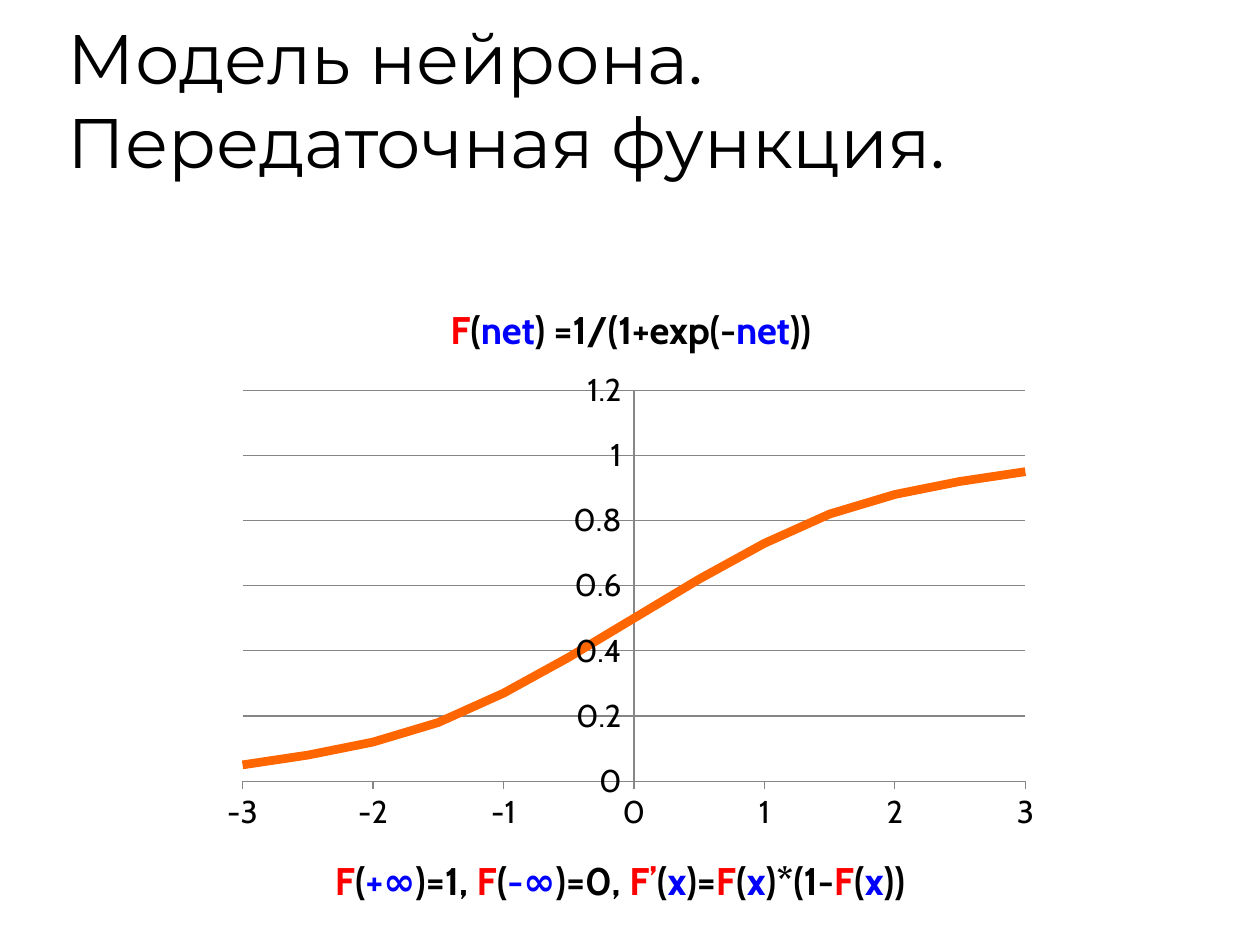
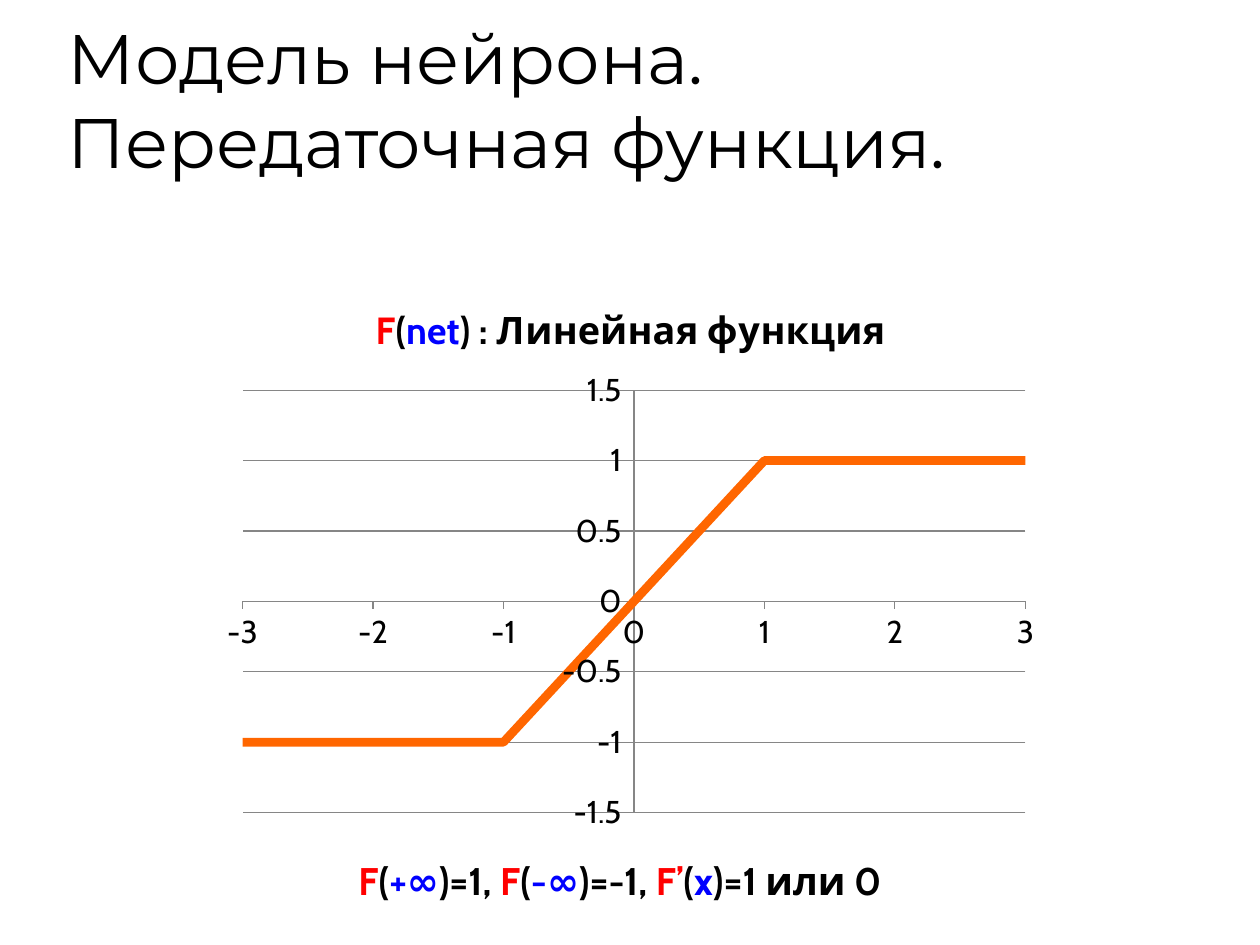
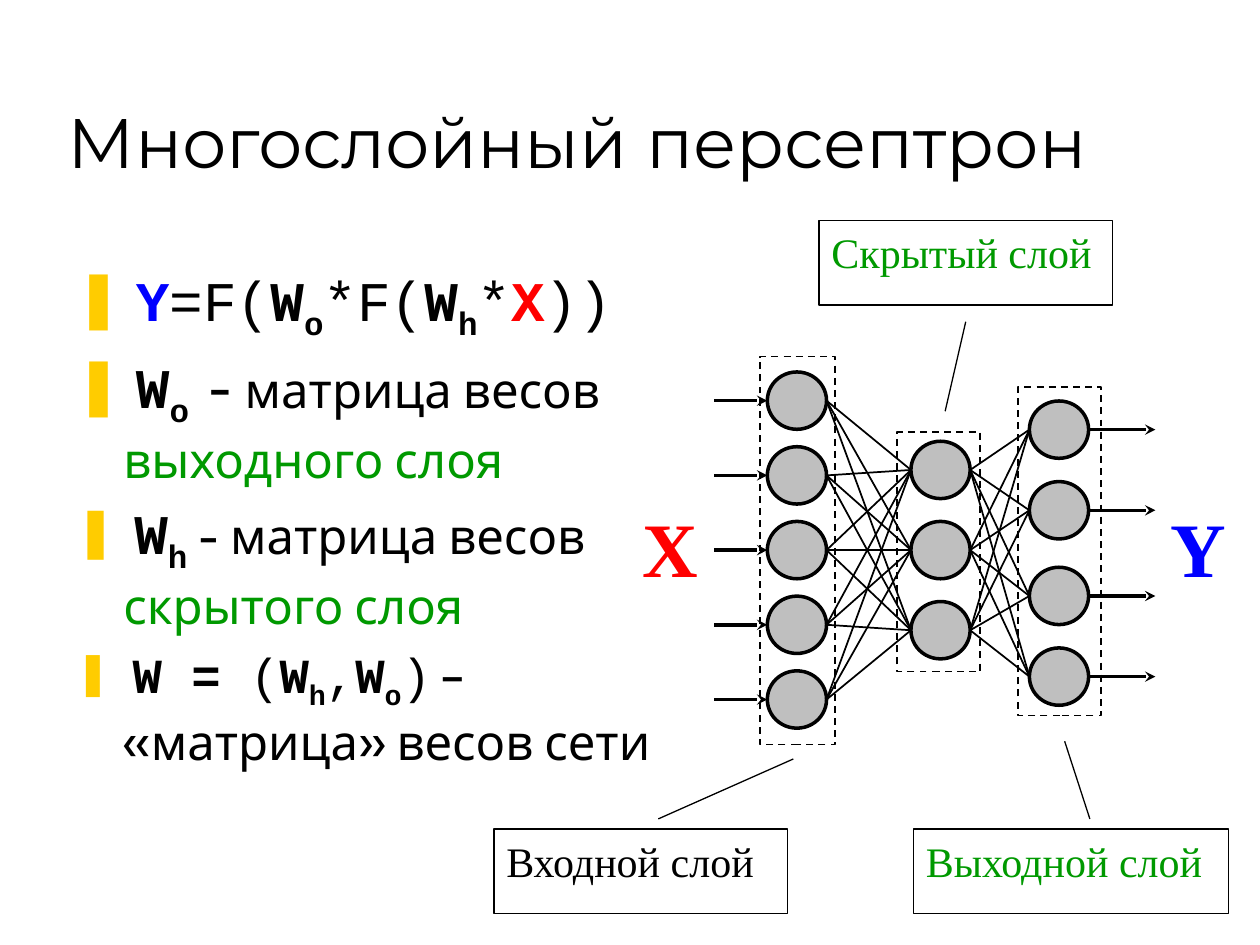
from itertools import product
from math import exp

from lxml import etree
from pptx import Presentation
from pptx.chart.data import XyChartData
from pptx.dml.color import RGBColor
from pptx.enum.chart import XL_CHART_TYPE, XL_TICK_MARK
from pptx.enum.dml import MSO_LINE
from pptx.enum.shapes import MSO_CONNECTOR, MSO_SHAPE
from pptx.enum.text import MSO_ANCHOR, PP_ALIGN
from pptx.oxml.ns import qn
from pptx.util import Inches, Pt

SMOOTH = XL_CHART_TYPE.XY_SCATTER_SMOOTH_NO_MARKERS
STRAIGHT = XL_CHART_TYPE.XY_SCATTER_LINES_NO_MARKERS
TICK_OUTSIDE = XL_TICK_MARK.OUTSIDE
DASH = MSO_LINE.DASH
STRAIGHT_LINE = MSO_CONNECTOR.STRAIGHT
CALLOUT = MSO_SHAPE.LINE_CALLOUT_1
CIRCLE = MSO_SHAPE.OVAL
FRAME = MSO_SHAPE.RECTANGLE
TOP, BOTTOM = MSO_ANCHOR.TOP, MSO_ANCHOR.BOTTOM
LEFT, CENTER = PP_ALIGN.LEFT, PP_ALIGN.CENTER

COLOURS = {
    "ink": "000000", "paper": "FFFFFF", "function": "FF0000",
    "argument": "0000FF", "layer": "009900", "bullet": "FFCC00",
    "neuron": "BFBFBF", "curve": "FF6600", "grid": "868686",
}
HEADING, BODY, CODE, SERIF = "Montserrat", "Cabin", "Courier New", "Times New Roman"
COLUMNS, ROWS = 100, 75  # grid laid over the slide


def colour(name):
    return RGBColor.from_string(COLOURS[name])


def set_font(font, size=None, name=None, fill=None, bold=None):
    if size:
        font.size = Pt(size)
    if name:
        font.name = name
    if fill:
        font.color.rgb = colour(fill)
    if bold is not None:
        font.bold = bold


class Deck:
    def __init__(self):
        self.prs = Presentation()
        self.prs.slide_width, self.prs.slide_height = Inches(10), Inches(7.5)
        self.slide = None

    def x(self, column):
        return round(self.prs.slide_width * column / COLUMNS)

    def y(self, row):
        return round(self.prs.slide_height * row / ROWS)

    def box(self, left, top, width, height):
        return self.x(left), self.y(top), self.x(width), self.y(height)

    def new_slide(self, heading, width=85):
        self.slide = self.prs.slides.add_slide(self.prs.slide_layouts[6])
        self.text((4.4, 2.5, width, 12.5), [heading], anchor=BOTTOM,
                  size=40, name=HEADING)

    # Text: each run is a string or a (string, style) pair
    def set_runs(self, paragraph, runs, align=LEFT, size=None, name=None,
                 fill="ink", bold=None):
        paragraph.alignment = align
        set_font(paragraph.font, size, name, fill, bold)
        for item in runs:
            words, style = (item, {}) if isinstance(item, str) else item
            style = dict(style)
            run = paragraph.add_run()
            run.text = words
            if style.pop("subscript", False):
                run._r.get_or_add_rPr().set("baseline", "-25000")
            if style:
                set_font(run.font, **style)

    def text(self, place, runs, anchor=TOP, **style):
        frame = self.slide.shapes.add_textbox(*self.box(*place)).text_frame
        frame.word_wrap = True
        frame.vertical_anchor = anchor
        self.set_runs(frame.paragraphs[0], runs, **style)

    def bullets(self, place, items):
        frame = self.slide.shapes.add_textbox(*self.box(*place)).text_frame
        frame.word_wrap = True
        for index, (size, runs) in enumerate(items):
            paragraph = frame.add_paragraph() if index else frame.paragraphs[0]
            paragraph.space_before = Pt(6)
            props = paragraph._p.get_or_add_pPr()
            props.set("marL", str(Inches(0.38)))
            props.set("indent", str(-Inches(0.38)))
            tint = etree.SubElement(props, qn("a:buClr"))
            etree.SubElement(tint, qn("a:srgbClr"), val=COLOURS["bullet"])
            etree.SubElement(props, qn("a:buChar"), char="❚")
            self.set_runs(paragraph, runs, size=size, name=BODY)

    # Shapes and lines
    def shape(self, kind, place, fill=None, width=1, dash=None):
        shape = self.slide.shapes.add_shape(kind, *self.box(*place))
        shape.shadow.inherit = False
        if fill:
            shape.fill.solid()
            shape.fill.fore_color.rgb = colour(fill)
        else:
            shape.fill.background()
        shape.line.color.rgb = colour("ink")
        shape.line.width = Pt(width)
        if dash:
            shape.line.dash_style = dash
        return shape

    def callout(self, place, pointer, label, fill):
        shape = self.shape(CALLOUT, place, "paper", 0.75)
        for index, share in enumerate(pointer):
            shape.adjustments[index] = share
        shape.text_frame.word_wrap = True
        shape.text_frame.vertical_anchor = TOP
        self.set_runs(shape.text_frame.paragraphs[0], [label],
                      size=24, name=SERIF, fill=fill)

    def line(self, start, end, width=1, arrow=False):
        line = self.slide.shapes.add_connector(
            STRAIGHT_LINE, self.x(start[0]), self.y(start[1]),
            self.x(end[0]), self.y(end[1]))
        line.line.color.rgb = colour("ink")
        line.line.width = Pt(width)
        if arrow:
            etree.SubElement(line.line._get_or_add_ln(), qn("a:tailEnd"),
                             type="stealth")
        etree.SubElement(line._element.spPr, qn("a:effectLst"))

    # Charts
    def curve(self, kind, points, title, title_size, value_range):
        data = XyChartData()
        series = data.add_series("Series 1")
        for x, y in points:
            series.add_data_point(x, y)
        chart = self.slide.shapes.add_chart(
            kind, *self.box(16.7, 22.5, 66.7, 44.4), data).chart
        set_font(chart.font, 18, BODY, "ink")
        chart.has_legend = False
        chart.has_title = True
        self.set_runs(chart.chart_title.text_frame.paragraphs[0], title,
                      align=CENTER, size=title_size, name=BODY, bold=True)
        chart.chart_title.include_in_layout = False

        plot = chart.plots[0]
        plot.vary_by_categories = False
        stroke = plot.series[0].format.line
        stroke.color.rgb = colour("curve")
        stroke.width = Pt(5)

        ranges = ((chart.category_axis, (-3, 3, 1)),
                  (chart.value_axis, value_range))
        for axis, (low, high, step) in ranges:
            axis.minimum_scale, axis.maximum_scale = low, high
            axis.major_unit = step
            axis.major_tick_mark = TICK_OUTSIDE
            axis.format.line.color.rgb = colour("grid")
            axis.format.line.width = Pt(0.75)
        chart.category_axis.has_major_gridlines = False
        chart.value_axis.has_major_gridlines = True
        grid = chart.value_axis.major_gridlines.format.line
        grid.color.rgb = colour("grid")
        grid.width = Pt(0.75)


def applied(argument, rest="", name="F"):
    """Runs for name(argument) followed by plain text."""
    return [(name, {"fill": "function"}), "(",
            (argument, {"fill": "argument"}), ")" + rest]


def code(words, **style):
    return words, {"name": CODE, **style}


def weights(layer, size=None):
    """Runs for W with the layer's letter as subscript."""
    return [code("W", bold=True, size=size),
            code(layer, bold=True, size=size, subscript=True)]


def transfer_slide(deck, kind, points, title, title_size, value_range, properties):
    deck.new_slide("Модель нейрона. Передаточная функция.")
    deck.curve(kind, points, title, title_size, value_range)
    deck.text((6.7, 67.5, 85, 4.7), properties, align=CENTER,
              size=22, name=BODY, bold=True)


def network(deck):
    diameter, height = 4.7, 4.55
    # Left edge and neuron centres of each layer
    inputs = (60.9, [31.8 + 5.93 * i for i in range(5)])
    hidden = (72.3, [37.3 + 6.36 * i for i in range(3)])
    outputs = (81.7, [34.1, 40.5, 47.3, 53.7])

    for place in ((60.3, 28.3, 6, 30.8), (71.2, 34.3, 6.6, 19),
                  (80.8, 30.7, 6.6, 26.1)):
        deck.shape(FRAME, place, dash=DASH)
    for (source, starts), (target, ends) in ((inputs, hidden), (hidden, outputs)):
        for start, end in product(starts, ends):
            deck.line((source + diameter, start), (target, end))
    for left, centres in (inputs, hidden, outputs):
        for centre in centres:
            deck.shape(CIRCLE, (left, centre - height / 2, diameter, height),
                       "neuron", 2)
    for (_, centres), start, end in ((inputs, 56.7, 60.9), (outputs, 86.5, 91.7)):
        for centre in centres:
            deck.line((start, centre), (end, centre), 2, arrow=True)


def main():
    deck = Deck()

    # Sigmoid transfer function
    sigmoid_x = [-5, -4] + [i / 2 for i in range(-6, 7)] + [4, 5]
    transfer_slide(
        deck, SMOOTH, [(x, round(1 / (1 + exp(-x)), 2)) for x in sigmoid_x],
        applied("net", " =1/(1+exp(-") + [("net", {"fill": "argument"}), "))"],
        22, (0, 1.2, 0.2),
        applied("+∞", "=1, ") + applied("-∞", "=0, ") + applied("x", "=", "F’")
        + applied("x", "*(1-") + applied("x", ")"))

    # Linear transfer function
    transfer_slide(
        deck, STRAIGHT, [(x, max(-1, min(1, x))) for x in range(-5, 6)],
        applied("net", " : Линейная функция"), 21.6, (-1.5, 1.5, 0.5),
        applied("+∞", "=1, ") + applied("-∞", "=-1, ")
        + applied("x", "=1 или 0", "F’"))

    # Multilayer perceptron
    deck.new_slide("Многослойный персептрон", 89.7)
    layer_name = {"size": 28, "fill": "layer"}
    deck.bullets((5, 20.6, 49.2, 45.6), [
        (32, [" ", code("Y", fill="argument", bold=True), code("=F("),
              *weights("o"), code("*F("), *weights("h"), code("*"),
              code("X", fill="function", bold=True), code("))")]),
        (32, [" ", *weights("o"), code(" ", bold=True, subscript=True), "- ",
              ("матрица весов ", {"size": 28}), ("выходного слоя", layer_name)]),
        (28, [" ", *weights("h", 32), " - матрица весов ",
              ("скрытого слоя", layer_name)]),
        (24, [" ", code("W = ", size=28, bold=True), code("(", size=28),
              *weights("h", 28), code(",", size=28), *weights("o", 28),
              code(")", size=28), " ", ("– «матрица» весов сети", {"size": 28})]),
    ])
    for place, pointer, label, fill in (
        ((65, 17.5, 23.3, 6.7), (1.2, 0.5, 2.26, 0.43), "Скрытый слой", "layer"),
        ((39.2, 65.8, 23.3, 6.7), (-0.12, 0.56, -0.83, 1.02), "Входной слой", "ink"),
        ((72.5, 65.8, 25, 6.7), (-0.12, 0.56, -1.04, 0.48), "Выходной слой", "layer"),
    ):
        deck.callout(place, pointer, label, fill)
    network(deck)
    for left, vector, fill in ((48.3, "X", "function"), (90.2, "Y", "argument")):
        deck.text((left, 39.2, 9.8, 8.4), [vector], align=CENTER,
                  size=44, name=SERIF, fill=fill, bold=True)

    deck.prs.save("out.pptx")


if __name__ == "__main__":
    main()
